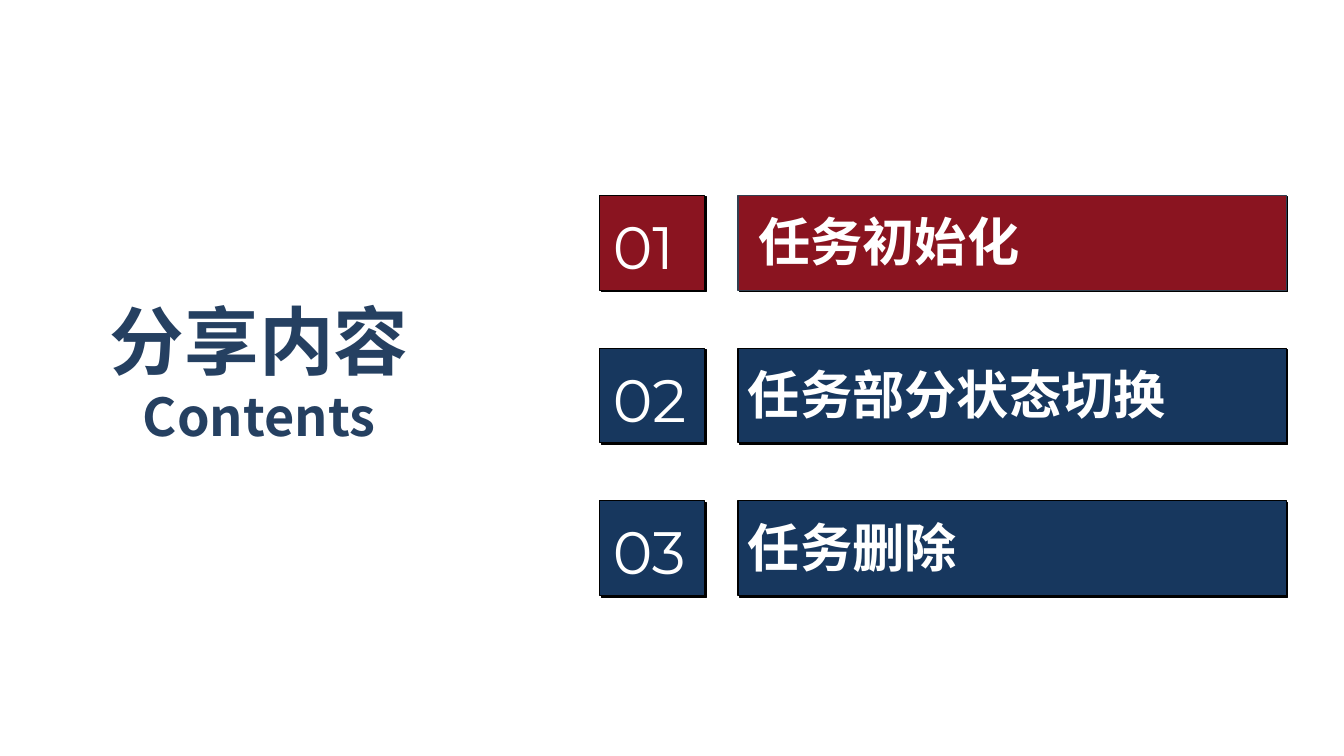
import pptx
import pptx.dml.color
import pptx.enum.shapes
import pptx.enum.text
import pptx.oxml.ns
import pptx.util
from lxml import etree

Inches = pptx.util.Inches
Pt = pptx.util.Pt
RGBColor = pptx.dml.color.RGBColor
PP_ALIGN = pptx.enum.text.PP_ALIGN
qn = pptx.oxml.ns.qn

WHITE = RGBColor(0xFF, 0xFF, 0xFF)
BLACK = RGBColor(0x00, 0x00, 0x00)
SLATE = RGBColor(0x32, 0x3F, 0x4F)
RED = RGBColor(0x8A, 0x14, 0x20)
NAVY = RGBColor(0x17, 0x37, 0x5E)
TITLE_BLUE = RGBColor(0x25, 0x40, 0x61)
CHINESE_FONT = "Noto Sans CJK SC"
NUMBER_FONT = "Montserrat"

HEADING = [("分享内容", 53.3), ("Contents", 37.3)]
TOPICS = [
    ("01", "任务初始化", RED, SLATE, 0.1),
    ("02", "任务部分状态切换", NAVY, BLACK, 0),
    ("03", "任务删除", NAVY, BLACK, 0),
]

FIRST_TOP, LAST_TOP = 1.94, 4.97
ROW_STEP = (LAST_TOP - FIRST_TOP) / (len(TOPICS) - 1)
BAR_HEIGHT = 0.94
NUMBER_LEFT, NUMBER_WIDTH = 5.95, 1.04
TOPIC_LEFT, TOPIC_WIDTH = 7.32, 5.44
TEXT_DROP = 0.09


def add_text(slide, lines, left, top, width, height, *, font, color,
             bold=False, align=PP_ALIGN.LEFT, wrap=True):
    box = slide.shapes.add_textbox(
        Inches(left), Inches(top), Inches(width), Inches(height))
    frame = box.text_frame
    frame.word_wrap = wrap
    for index, (text, size) in enumerate(lines):
        paragraph = frame.add_paragraph() if index else frame.paragraphs[0]
        paragraph.alignment = align
        run = paragraph.add_run()
        run.text = text
        run.font.size = Pt(size)
        run.font.bold = bold
        run.font.color.rgb = color
        run.font.name = font
        etree.SubElement(run.font._element, qn("a:ea"), typeface=font)


def add_bar(slide, left, top, width, fill, border):
    bar = slide.shapes.add_shape(
        pptx.enum.shapes.MSO_SHAPE.RECTANGLE,
        Inches(left), Inches(top), Inches(width), Inches(BAR_HEIGHT))
    bar.fill.solid()
    bar.fill.fore_color.rgb = fill
    bar.line.color.rgb = border
    bar.line.width = Pt(0.75)
    bar.shadow.inherit = False
    effects = bar._element.spPr.find(qn("a:effectLst"))
    shadow = etree.SubElement(
        effects, qn("a:outerShdw"), blurRad="0", dist=str(Pt(1.4)),
        dir=str(45 * 60000), algn="tl", rotWithShape="0")
    etree.SubElement(shadow, qn("a:srgbClr"), val=str(BLACK))


def main():
    deck = pptx.Presentation()
    deck.slide_width = Inches(13.33)
    deck.slide_height = Inches(7.5)
    slide = deck.slides.add_slide(deck.slide_layouts[6])

    add_text(slide, HEADING, 0.97, 2.88, 3.2, 1.63, font=CHINESE_FONT,
             color=TITLE_BLUE, bold=True, align=PP_ALIGN.CENTER, wrap=False)

    for row, (number, topic, fill, border, indent) in enumerate(TOPICS):
        top = FIRST_TOP + row * ROW_STEP
        add_bar(slide, NUMBER_LEFT, top, NUMBER_WIDTH, fill, BLACK)
        add_text(slide, [(number, 42.7)], NUMBER_LEFT + 0.03, top + TEXT_DROP,
                 1.12, 0.82, font=NUMBER_FONT, color=WHITE)
        add_bar(slide, TOPIC_LEFT, top, TOPIC_WIDTH, fill, border)
        add_text(slide, [(topic, 37.3)], TOPIC_LEFT + indent, top + TEXT_DROP,
                 5.71 - indent, 0.73, font=CHINESE_FONT, color=WHITE, bold=True)

    deck.save("out.pptx")


if __name__ == "__main__":
    main()
